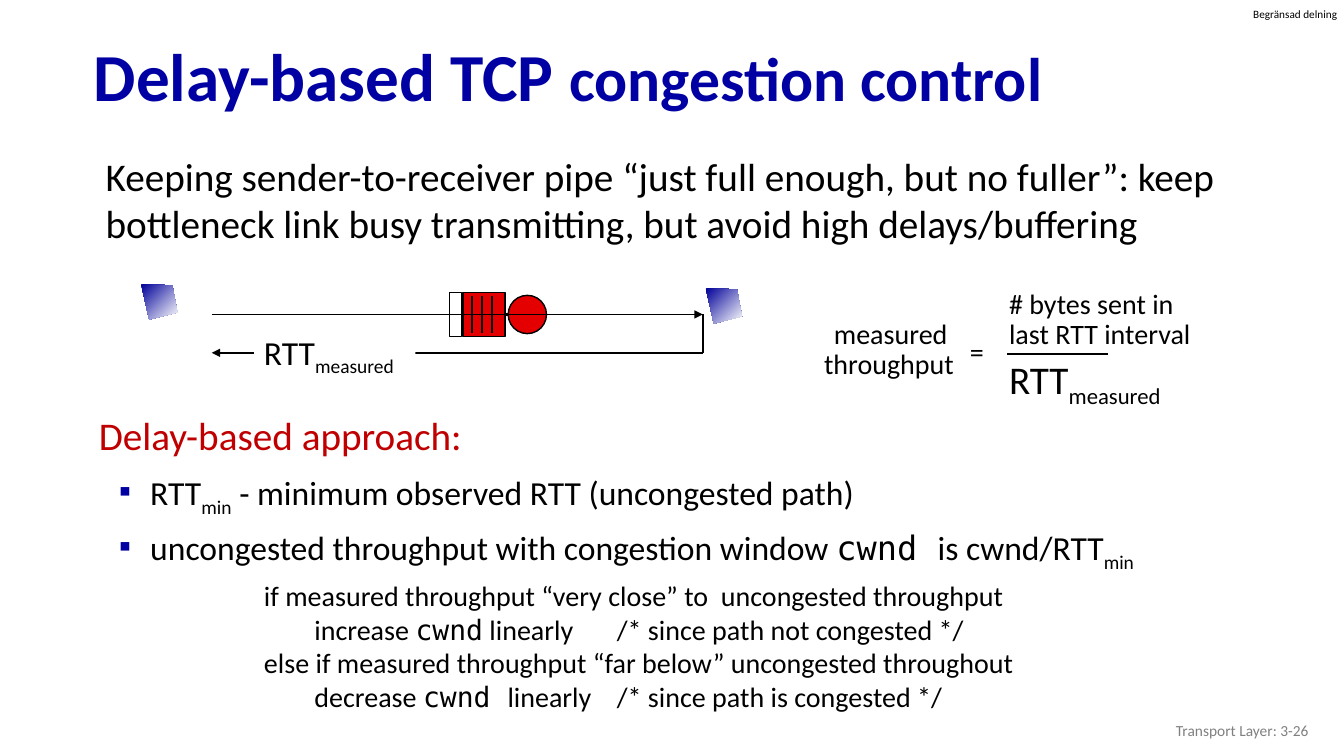
from lxml.etree import SubElement
from pptx import Presentation
from pptx.dml.color import RGBColor
from pptx.enum.shapes import MSO_CONNECTOR as Conn, MSO_SHAPE as Shape
from pptx.enum.text import MSO_ANCHOR as Anchor, MSO_AUTO_SIZE as Auto, PP_ALIGN as Align
from pptx.oxml.ns import qn
from pptx.util import Pt

PX = 9144  # 100 px to the inch
HUES = {"navy": "0000A3", "host": "000099", "white": "FFFFFF", "black": "000000",
        "queue": "E40000", "head": "C00000", "grey": "808080"}
SANS, MONO = "Calibri", "DejaVu Sans Mono"

# Content: a paragraph is a list of (text, style) runs
TITLE = [[("Delay-based TCP ", {"size": 48}), ("congestion control", {"size": 44})]]
INTRO = [[("Keeping sender-to-receiver pipe “just full enough, but no fuller”: "
           "keep bottleneck link busy transmitting, but avoid high delays/buffering", {})]]
SUB, CODE = {"sub": True}, {"face": MONO}
RTT = [[("RTT", {}), ("measured", SUB)]]
LIST = [
    [("Delay-based approach:", {"size": 28, "hue": "head"})],
    [("RTT", {}), ("min", SUB), (" - minimum observed RTT (uncongested path)", {})],
    [("uncongested throughput with congestion window ", {}), ("cwnd ", CODE),
     ("is cwnd/RTT", {}), ("min", SUB)],
]
RULES = [
    [("if measured throughput “very close” to  uncongested throughput", {})],
    [("\tincrease ", {}), ("cwnd", CODE),
     (" linearly\t/* since path not congested */", {})],
    [("else if measured throughput “far below” uncongested throughout", {})],
    [("\tdecrease ", {}), ("cwnd ", CODE),
     ("linearly\t/* since path is congested */", {})],
]
TABS = {1: (51, 408), 3: (38, 402)}
RATE = [[("measured ", {})], [("throughput", {})]]
BYTES = [[("# bytes sent in last RTT interval", {})]]
NOTE = [[("Begränsad delning", {})]]
FOOT = [[("Transport Layer: 3-26", {})]]

# Places in px
HOSTS = [(140, 282), (700, 286)]
FACE = [(0, 0), (31, 1), (36, 28), (8, 35)]
LEFT, RIGHT, SEND, BACK = 210, 697, 312, 350
SLOTS = range(468, 490, 10)

deck = Presentation()
deck.slide_width, deck.slide_height = 1333 * PX, 750 * PX
slide = deck.slides.add_slide(deck.slide_layouts[1])
shapes = slide.shapes


def rgb(hue):
    return RGBColor.from_string(HUES[hue])


def place(item, box):
    item.left, item.top, item.width, item.height = (n * PX for n in box)
    return item


def text(item, paras, size=20, hue="black", bold=False, align=Align.LEFT, lead=1.0,
         before=0, anchor=Anchor.TOP, wrap=True, grow=False, inset=None,
         indents=None, bullets=(), tabs=None):
    frame = item.text_frame
    frame.word_wrap, frame.vertical_anchor = wrap, anchor
    frame.auto_size = Auto.SHAPE_TO_FIT_TEXT if grow else Auto.NONE
    if inset is not None:
        frame.margin_left = frame.margin_right = inset
        frame.margin_top = frame.margin_bottom = inset
    for i, runs in enumerate(paras):
        para = frame.add_paragraph() if i else frame.paragraphs[0]
        props = para._p.get_or_add_pPr()
        margin, hang = indents[i] if indents else (0, 0)
        props.set("marL", str(margin * PX))
        props.set("indent", str(hang * PX))
        para.alignment, para.line_spacing = align, lead
        para.space_before, para.space_after = Pt(before if i else 0), Pt(0)
        if i in bullets:
            tint = SubElement(props, qn("a:buClr"))
            SubElement(tint, qn("a:srgbClr"), val=HUES["navy"])
            SubElement(props, qn("a:buFont"), typeface=SANS)
            SubElement(props, qn("a:buChar"), char="▪")
        else:
            SubElement(props, qn("a:buNone"))
        if tabs and i in tabs:
            stops = SubElement(props, qn("a:tabLst"))
            for stop in tabs[i]:
                SubElement(stops, qn("a:tab"), pos=str(stop * PX), algn="l")
        for words, style in runs:
            run = para.add_run()
            run.text = words
            font = run.font
            font.name, font.bold = style.get("face", SANS), bold
            font.size = Pt(style.get("size", size))
            font.color.rgb = rgb(style.get("hue", hue))
            if style.get("sub"):
                run._r.get_or_add_rPr().set("baseline", "-25000")
    return item


def label(box, paras, **form):
    return text(shapes.add_textbox(*(n * PX for n in box)), paras, **form)


def block(kind, box, hue, edge=True):
    item = shapes.add_shape(kind, *(n * PX for n in box))
    item.shadow.inherit = False
    item.fill.solid()
    item.fill.fore_color.rgb = rgb(hue)
    if edge:
        item.line.color.rgb, item.line.width = rgb("black"), Pt(1)
    else:
        item.line.fill.background()
    return item


def line(x1, y1, x2, y2, width=1.25, arrow=False):
    item = shapes.add_connector(Conn.STRAIGHT, *(n * PX for n in (x1, y1, x2, y2)))
    item.line.color.rgb, item.line.width = rgb("black"), Pt(width)
    if arrow:
        SubElement(item.line._get_or_add_ln(), qn("a:tailEnd"), type="triangle")
    SubElement(item._element.spPr, qn("a:effectLst"))


def host(x, y):
    points = [((x + dx) * PX, (y + dy) * PX) for dx, dy in FACE]
    pen = shapes.build_freeform(*points[0])
    pen.add_line_segments(points[1:], close=True)
    item = pen.convert_to_shape()
    item.shadow.inherit = False
    item.line.fill.background()
    item.fill.gradient()
    item.fill.gradient_angle = 315
    for stop, hue, spot in zip(item.fill.gradient_stops, ("host", "white"), (0, 1)):
        stop.color.rgb, stop.position = rgb(hue), spot


# Title, intro and list
text(place(shapes.title, (83, 30, 1246, 98)), TITLE, hue="navy", bold=True,
     lead=0.9, anchor=Anchor.MIDDLE)
text(place(slide.placeholders[1], (82, 408, 1273, 240)), LIST, size=24, lead=0.9,
     before=10, indents=[(6, 0), (57, -31), (57, -31)], bullets=(1, 2))
label((69, 146, 1273, 240), INTRO, size=28, indents=[(26, 0)])

# Hosts, queue and link
for spot in HOSTS:
    host(*spot)
line(499, SEND, 509, SEND, width=1.5)
block(Shape.RECTANGLE, (459, 290, 42, 44), "queue")
block(Shape.OVAL, (504, 293, 38, 38), "queue")
for x in SLOTS:
    line(x, 294, x, 330)
block(Shape.RECTANGLE, (446, 290, 12, 44), "white")

# Round trip
line(LEFT, SEND, RIGHT, SEND, arrow=True)
line(RIGHT, BACK, LEFT, BACK, arrow=True)
line(RIGHT, SEND, RIGHT, BACK)
text(block(Shape.RECTANGLE, (252, 324, 160, 50), "white", edge=False), RTT,
     size=24, wrap=False, grow=True)

# Throughput formula
text(block(Shape.RECTANGLE, (991, 348, 183, 57), "white", edge=False), RTT,
     size=28, wrap=False, grow=True)
label((806, 313, 150, 71), RATE, align=Align.RIGHT, lead=0.9, wrap=False, grow=True)
line(999, 351, 1099, 351, width=1.75)
label((952, 327, 34, 44), [[("=", {})]], wrap=False, grow=True)
label((991, 283, 203, 71), BYTES, lead=0.9, grow=True)

# Window rules, note and footer
label((252, 569, 826, 175), RULES, grow=True, tabs=TABS)
label((1243, 7, 86, 13), NOTE, size=8, inset=0, wrap=False, grow=True)
label((1008, 705, 300, 40), FOOT, size=11, hue="grey", align=Align.RIGHT,
      anchor=Anchor.MIDDLE)

deck.save("out.pptx")
